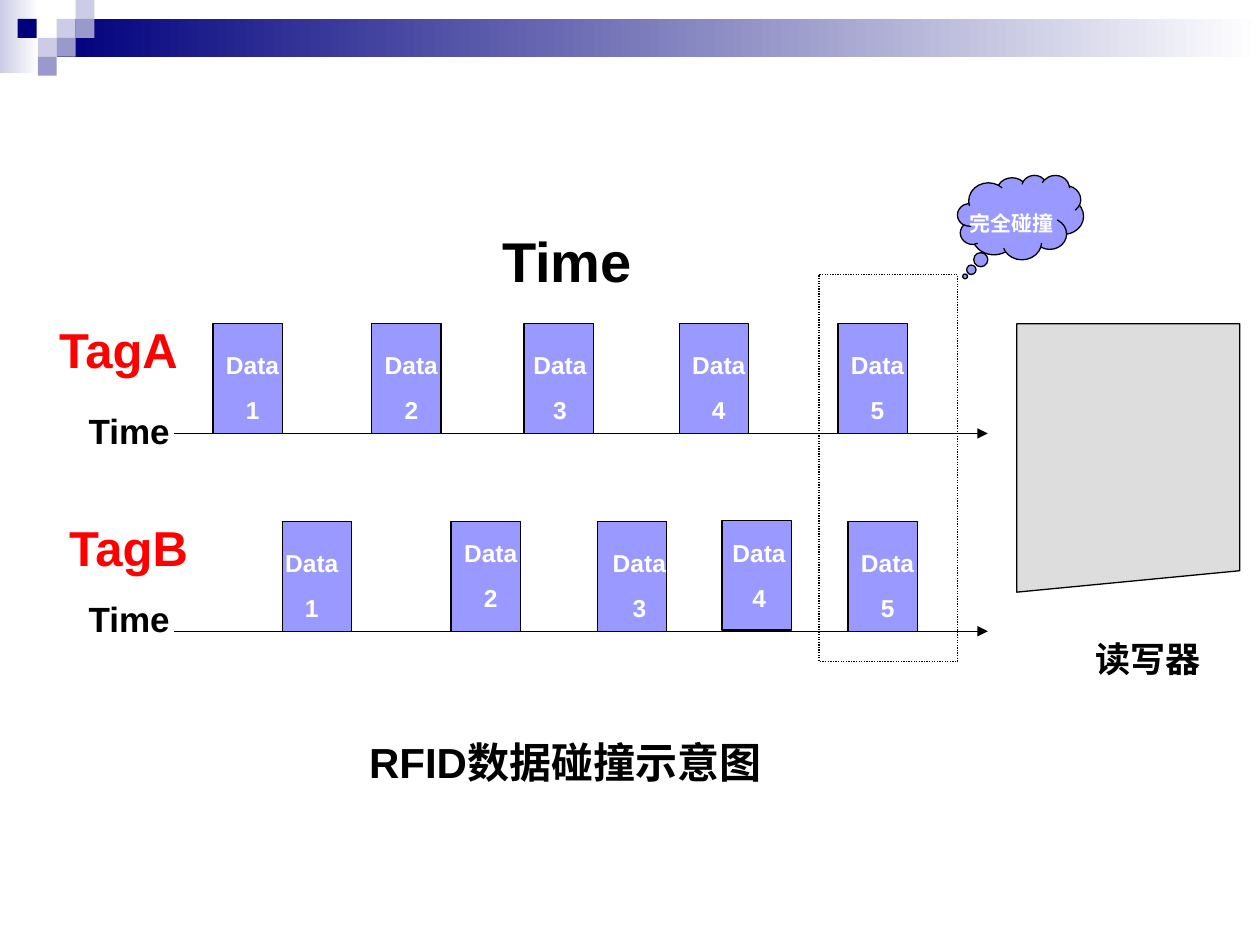
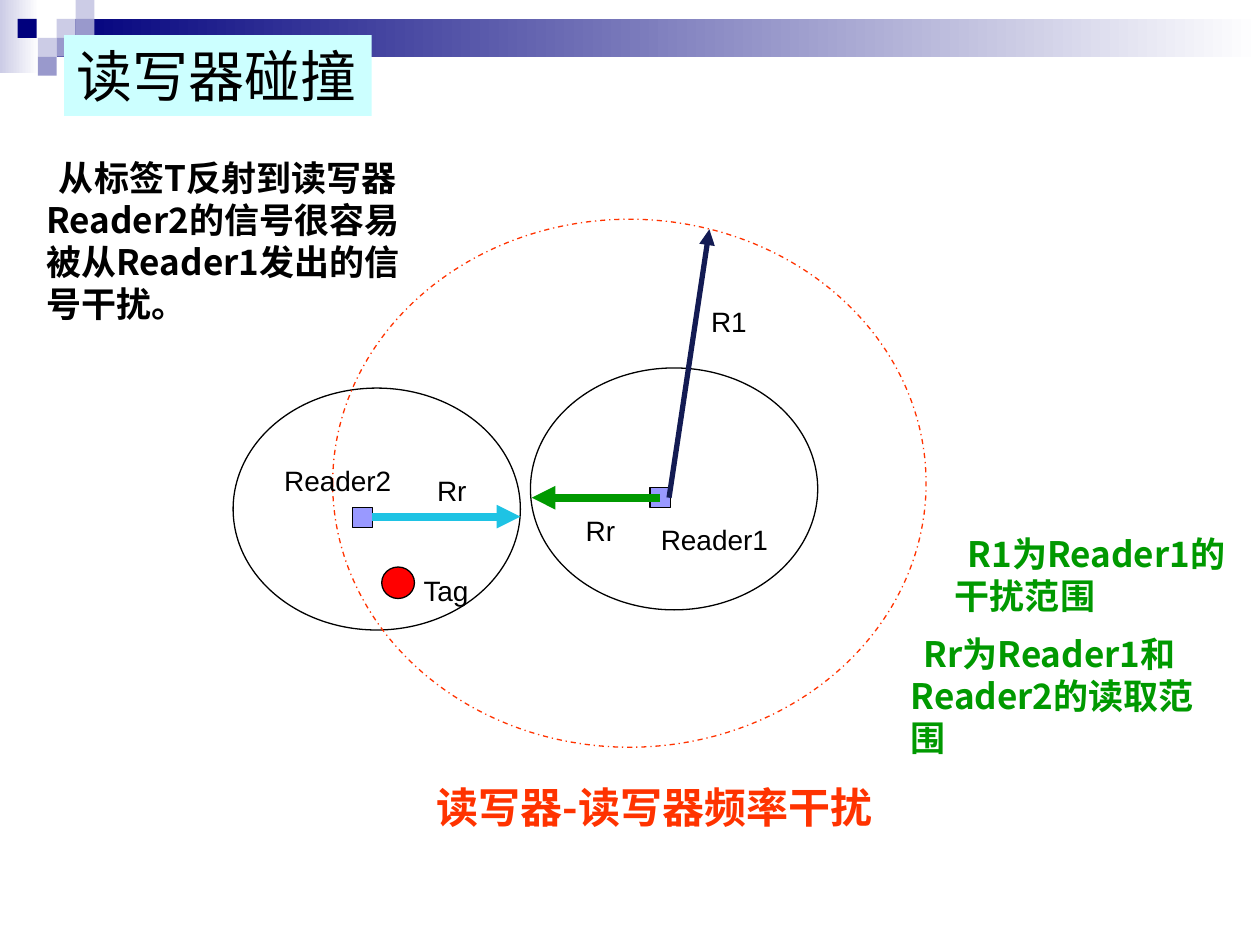
import pptx
import pptx.dml.color
import pptx.enum.dml
import pptx.enum.shapes
import pptx.enum.text
import pptx.oxml
import pptx.oxml.ns
import pptx.util

SHAPE = pptx.enum.shapes.MSO_SHAPE
DASH = pptx.enum.dml.MSO_LINE
ALIGN = pptx.enum.text.PP_ALIGN
COLORS = {
    "black": "000000", "white": "FFFFFF", "navy": "00007D", "pale": "CCCCE6",
    "mid": "9999CC", "block": "9999FF", "gray": "DDDDDD", "red": "FF0000",
    "orange": "FF3300", "green": "009900", "cyan": "1EC3E4",
    "indigo": "131B53", "title": "CCFFFF",
}
COLS, ROWS = 100, 75
LATIN, CJK = "Arial", "Noto Sans CJK SC"


class Deck:
    def __init__(self):
        self.prs = pptx.Presentation()
        self.prs.slide_width = pptx.util.Inches(10)
        self.prs.slide_height = pptx.util.Inches(7.5)
        self.s = None

    def x(self, cols):
        return round(self.prs.slide_width * cols / COLS)

    def y(self, rows):
        return round(self.prs.slide_height * rows / ROWS)

    def box(self, at):
        left, top, width, height = at
        return self.x(left), self.y(top), self.x(width), self.y(height)

    def color(self, name):
        return pptx.dml.color.RGBColor.from_string(COLORS[name])

    def slide(self):
        self.s = self.prs.slides.add_slide(self.prs.slide_layouts[6])
        self.gradient((0, 0, 3.1, 5.8), "pale")
        self.gradient((4.5, 1.5, 95.5, 3), "navy")
        for col, row, fill in [(4.5, 1.5, "pale"), (6, 0, "pale"), (6, 1.5, "mid"),
                               (3, 3, "pale"), (1.4, 1.5, "navy"),
                               (4.5, 3, "mid"), (3, 4.5, "mid")]:
            self.shape(SHAPE.RECTANGLE, (col, row, 1.5, 1.5), fill, None)

    def paint(self, sp, fill, line, dash=None):
        sp.shadow.inherit = False
        if fill:
            sp.fill.solid()
            sp.fill.fore_color.rgb = self.color(fill)
        else:
            sp.fill.background()
        if line:
            sp.line.color.rgb = self.color(line)
            sp.line.width = pptx.util.Pt(0.75)
            if dash:
                sp.line.dash_style = dash
        else:
            sp.line.fill.background()
        return sp

    def shape(self, kind, at, fill=None, line="black", dash=None):
        sp = self.s.shapes.add_shape(kind, *self.box(at))
        return self.paint(sp, fill, line, dash)

    def gradient(self, at, start):
        sp = self.shape(SHAPE.RECTANGLE, at, start, None)
        sp.fill.gradient()
        sp.fill.gradient_angle = 0
        for stop, name, position in zip(sp.fill.gradient_stops, (start, "white"), (0, 1)):
            stop.color.rgb = self.color(name)
            stop.position = position

    def polygon(self, points, fill):
        corners = [(self.x(col), self.y(row)) for col, row in points]
        builder = self.s.shapes.build_freeform(*corners[0])
        builder.add_line_segments(corners[1:], close=True)
        return self.paint(builder.convert_to_shape(), fill, "black")

    def arrow(self, start, end, color="black", width=0.75):
        cx = self.s.shapes.add_connector(
            pptx.enum.shapes.MSO_CONNECTOR.STRAIGHT,
            self.x(start[0]), self.y(start[1]), self.x(end[0]), self.y(end[1]))
        cx.line.color.rgb = self.color(color)
        cx.line.width = pptx.util.Pt(width)
        tail = pptx.oxml.parse_xml(
            f'<a:tailEnd {pptx.oxml.ns.nsdecls("a")} type="triangle"/>')
        cx.line._get_or_add_ln().append(tail)
        effects = pptx.oxml.parse_xml(f'<a:effectLst {pptx.oxml.ns.nsdecls("a")}/>')
        cx._element.spPr.append(effects)

    def text(self, at, lines, size, color="black", bold=True, font=LATIN,
             align=ALIGN.CENTER, wrap=False, indent=0, fill=None):
        sp = self.s.shapes.add_textbox(*self.box(at))
        if fill:
            sp.fill.solid()
            sp.fill.fore_color.rgb = self.color(fill)
        tf = sp.text_frame
        tf.word_wrap = wrap
        for i, line in enumerate(lines):
            p = tf.add_paragraph() if i else tf.paragraphs[0]
            p.alignment = align
            if i:
                p.space_before = pptx.util.Pt(size * 0.625)
            if indent:
                p._p.get_or_add_pPr().set("indent", str(self.x(indent)))
            r = p.add_run()
            r.text = line
            r.font.size = pptx.util.Pt(size)
            r.font.bold = bold
            r.font.color.rgb = self.color(color)
            r.font.name = font
            r._r.rPr.append(pptx.oxml.parse_xml(
                f'<a:ea {pptx.oxml.ns.nsdecls("a")} typeface="{CJK}"/>'))

    def note(self, at, line, color="black"):
        self.text(at, [line], 20, color, font=CJK, align=ALIGN.LEFT,
                  wrap=True, indent=1)

    def label(self, col, row, line, width=7.9):
        self.text((col, row, width, 3.7), [line], 16, bold=False)

    def packets(self, axis, bars, captions):
        self.arrow((13.8, axis), (78.4, axis))
        for col, bottom in bars:
            self.shape(SHAPE.RECTANGLE, (col, bottom - 8.7, 5.5, 8.7), "block")
        for number, (col, row) in enumerate(captions, 1):
            self.text((col, row, 6.3, 6.9), ["Data", str(number)], 14, "white")


def tag_collision(deck):
    deck.slide()
    axis_a, axis_b = 34.4, 50.1
    deck.packets(axis_a, [(col, axis_a) for col in (16.9, 29.5, 41.6, 53.9, 66.5)],
                 [(col, 27.3) for col in (16.9, 29.5, 41.3, 53.9, 66.5)])
    deck.packets(axis_b, [(22.4, axis_b), (35.8, axis_b), (47.4, axis_b),
                          (57.3, 50), (67.3, axis_b)],
                 [(21.6, 43), (35.8, 42.2), (47.6, 43), (57.1, 42.2), (67.3, 43)])
    deck.text((15.3, 58, 59.1, 5), ["RFID数据碰撞示意图"], 24)
    for row in (32, 46.9):
        deck.text((5.9, row, 8.7, 4.4), ["Time"], 20)
    deck.shape(SHAPE.RECTANGLE, (65, 21.8, 11, 30.7), dash=DASH.ROUND_DOT)
    cloud = deck.shape(SHAPE.CLOUD_CALLOUT, (76, 13.9, 10, 6.7), "block")
    cloud.adjustments[0], cloud.adjustments[1] = -0.44, 0.7
    deck.text((74.4, 16.2, 11.8, 3), ["完全碰撞"], 12, "white")
    deck.text((0, 17.5, 90, 6), ["Time"], 32)
    deck.polygon([(80.7, 25.7), (98.4, 25.7), (98.4, 45.3), (80.7, 47)], "gray")
    deck.text((82.3, 50.1, 17.7, 4.4), ["读写器"], 20)
    for col, row, tag in [(3.5, 24.9, "TagA"), (4.3, 40.6, "TagB")]:
        deck.text((col, row, 11.8, 5.7), [tag], 28, "red")


def reader_collision(deck):
    deck.slide()
    for col, row in [(18.5, 30.8), (42.1, 29.2)]:
        deck.shape(SHAPE.OVAL, (col, row, 22.8, 19.2))
    deck.shape(SHAPE.OVAL, (26.4, 17.4, 47.1, 41.9), line="orange", dash=DASH.DASH_DOT)
    for col, row in [(28, 40.3), (51.6, 38.7)]:
        deck.shape(SHAPE.RECTANGLE, (col, row, 1.6, 1.6), "block")
    deck.arrow((29.5, 41), (41.3, 41), "cyan", 4.5)
    deck.arrow((52.4, 39.5), (42.2, 39.5), "green", 4.5)
    deck.arrow((53.1, 39.5), (56.3, 18.2), "indigo", 3)
    deck.shape(SHAPE.OVAL, (30.3, 45, 2.6, 2.5), "red")
    deck.label(53.9, 23.7, "R1")
    deck.label(31.9, 37.1, "Rr")
    deck.label(43.7, 40.3, "Rr")
    deck.label(20.9, 36.3, "Reader2", 11.8)
    deck.label(50.8, 41, "Reader1", 11.8)
    deck.label(29.5, 45, "Tag", 11.8)
    deck.text((31.1, 61.5, 41.7, 5), ["读写器-读写器频率干扰"], 24, "orange", font=CJK)
    deck.note((74.8, 41.8, 25.2, 7.7), "R1为Reader1的干扰范围", "green")
    deck.note((71.3, 49.7, 26.4, 11), "Rr为Reader1和Reader2的读取范围", "green")
    deck.note((2.7, 11.9, 30.7, 14.4),
              "从标签T反射到读写器Reader2的信号很容易被从Reader1发出的信号干扰。")
    deck.text((5.1, 2.8, 24.4, 6.4), ["读写器碰撞"], 32, bold=False,
              align=ALIGN.LEFT, wrap=True, fill="title")


def main():
    deck = Deck()
    tag_collision(deck)
    reader_collision(deck)
    deck.prs.save("out.pptx")


if __name__ == "__main__":
    main()
